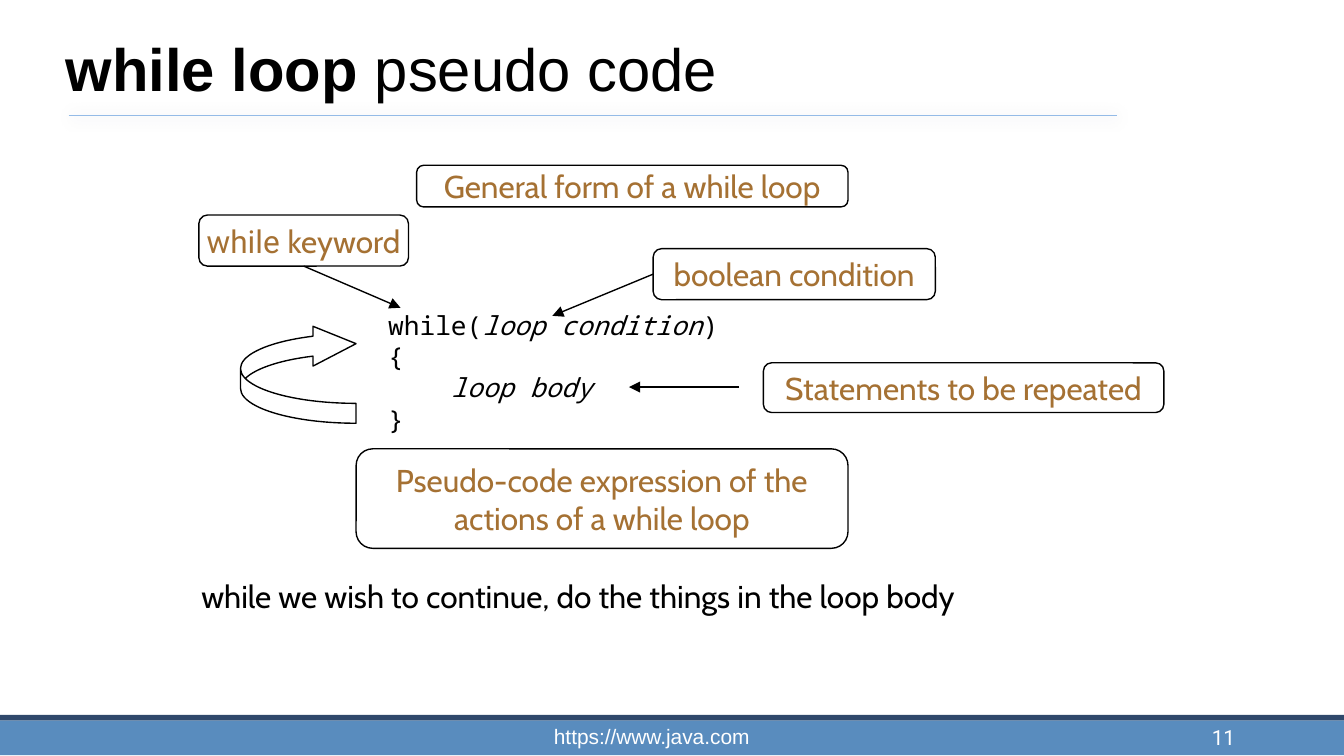
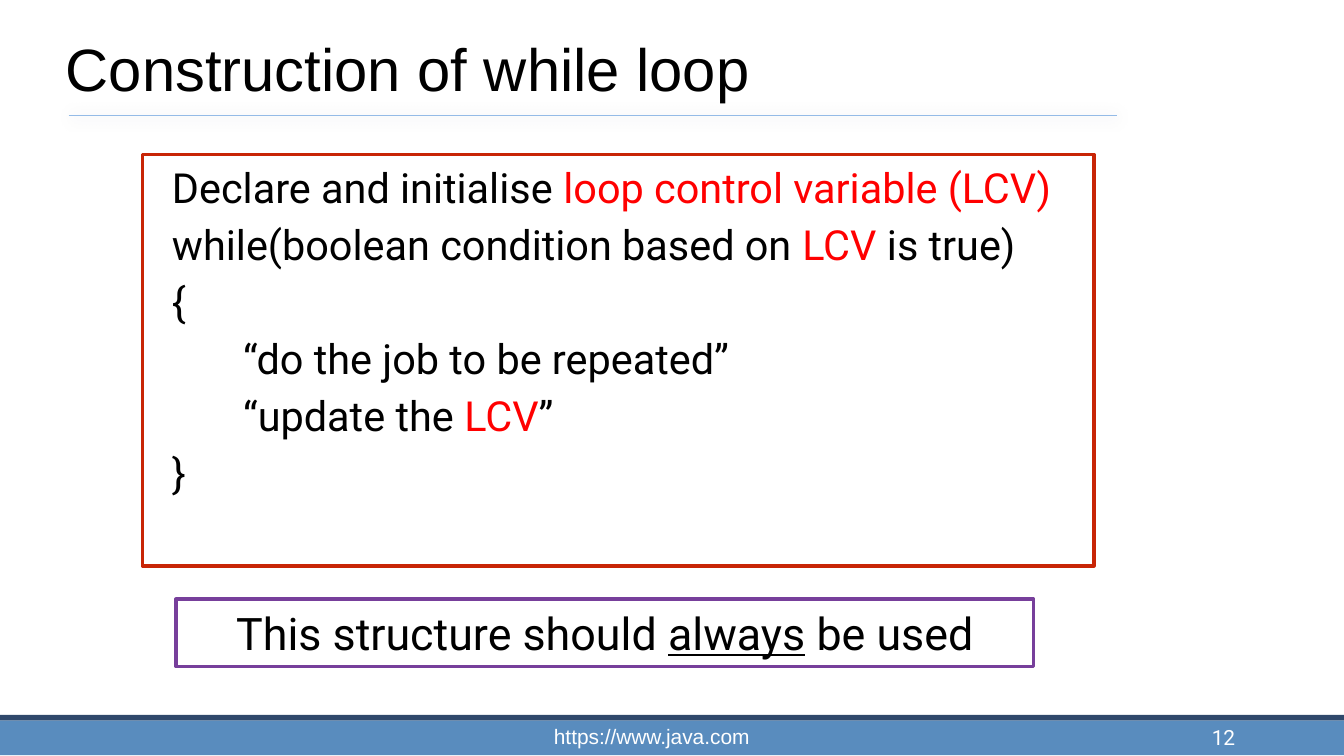
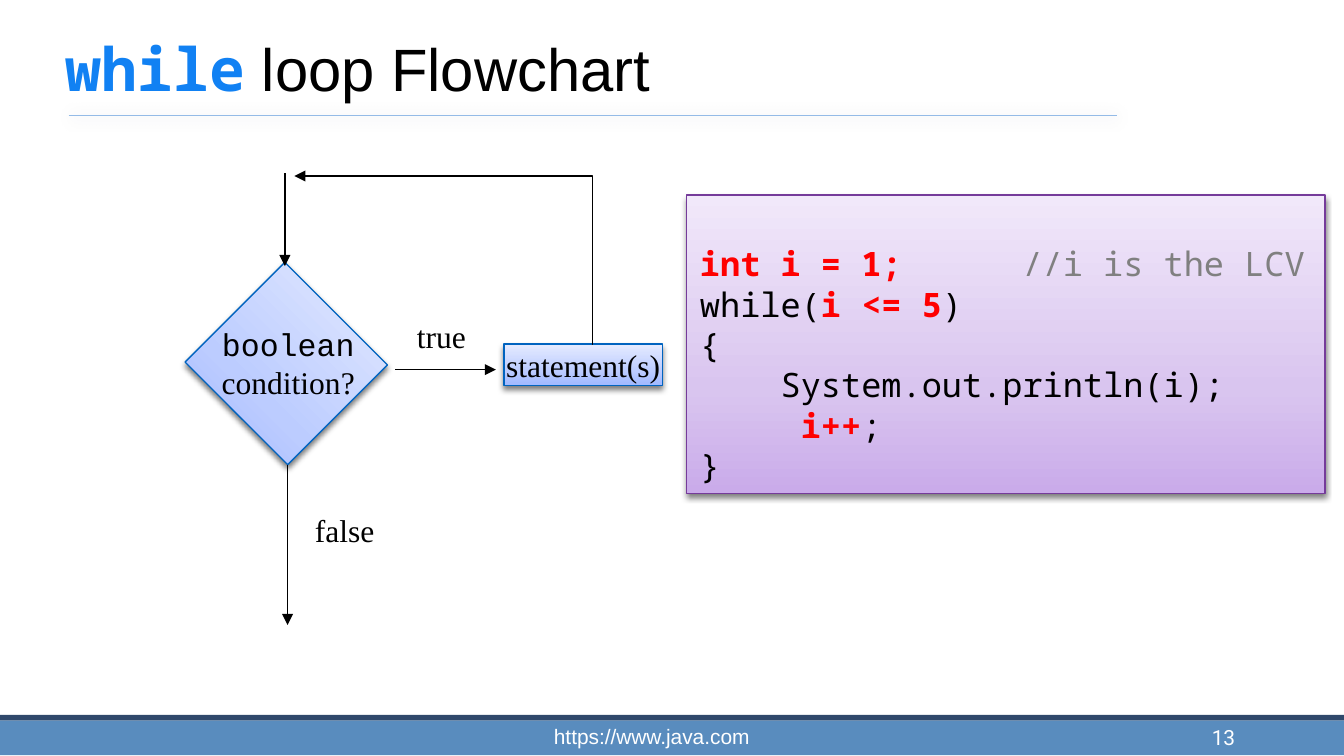
from lxml import etree
from pptx import Presentation
from pptx.dml.color import RGBColor
from pptx.enum.shapes import MSO_CONNECTOR, MSO_SHAPE
from pptx.enum.text import MSO_ANCHOR, PP_ALIGN
from pptx.oxml.ns import qn
from pptx.util import Emu, Pt

PX = 9144  # EMU in one px, 100 px to the inch
PAGE_WIDTH = 1000

BLANK_LAYOUT = 6

RECTANGLE, ROUNDED = MSO_SHAPE.RECTANGLE, MSO_SHAPE.ROUNDED_RECTANGLE
LOOP_ARROW = MSO_SHAPE.CURVED_LEFT_ARROW
STRAIGHT, ELBOW = MSO_CONNECTOR.STRAIGHT, MSO_CONNECTOR.ELBOW
LEFT, CENTER, RIGHT = PP_ALIGN.LEFT, PP_ALIGN.CENTER, PP_ALIGN.RIGHT
TOP, MIDDLE, BOTTOM = MSO_ANCHOR.TOP, MSO_ANCHOR.MIDDLE, MSO_ANCHOR.BOTTOM
SIDE_LEFT, SIDE_BOTTOM = 1, 2

COLORS = {
    "black": "000000", "white": "FFFFFF", "red": "FF0000", "gray": "808080",
    "band": "598CBE", "band edge": "2F486B", "rule": "94BBE7", "rule shadow": "003D62",
    "label": "A57133", "keyword": "1181F3",
    "code frame": "C82506", "note frame": "773F9B",
    "step line": "0063BF", "sample line": "753B9A",
}
STEP_GRADIENT = [(0, "A0B8FF"), (35, "BCCCFF"), (100, "E5EBFF")]
SAMPLE_GRADIENT = [(0, "CAABEA"), (35, "D9C5EF"), (100, "F1E8FA")]

SANS, BODY, LABEL = "Arial", "Roboto", "Cabin"
MONO, SERIF, TYPEWRITER = "Noto Sans Mono", "Times New Roman", "Courier New"
LABEL_SIZE = 16.9

# Content: a paragraph is a list of runs, a run is a text or (text, format)
RED, RED_BOLD = {"color": "red"}, {"color": "red", "bold": True}
ITALIC = {"italic": True}
FOOTER = "https://www.java.com"
FIRST_NUMBER = 11
TITLES = [
    [("while loop ", {"bold": True}), "pseudo code"],
    ["Construction of while loop"],
    [("while", {"font": MONO, "color": "keyword", "bold": True}), " loop Flowchart"],
]

LOOP_FORM = [
    ["while(", ("loop condition", ITALIC), ") {"],
    ["    ", ("loop body", ITALIC)],
    ["}"],
]
LOOP_MEANING = "while we wish to continue, do the things in the loop body"
LOOP_LABELS = {
    "condition": ((486, 185, 210, 38), ["boolean condition"]),
    "keyword": ((148, 160, 156, 38), [("while ", {"font": BODY}), "keyword"]),
    "statements": ((568, 270, 298, 37), ["Statements to be repeated"]),
    "expression": ((265, 334, 366, 74),
                   ["Pseudo-code expression of the actions of a while loop"]),
    "heading": ((310, 123, 321, 31), ["General form of a while loop"]),
}

STRUCTURE = [
    ["Declare and initialise ", ("loop control variable (LCV)", RED)],
    ["while(boolean condition based on ", ("LCV ", RED), "is true)"],
    ["{"],
    ["“do the job to be repeated”"],
    ["“update the ", ("LCV", RED), "”"],
    ["}"],
]
STRUCTURE_INDENTS = [16, 16, 16, 69, 69, 16]
STRUCTURE_NOTE = ["This structure should ", ("always", {"underline": True}), " be used"]

SAMPLE = [
    [("int i = 1;\t", RED_BOLD), ("//i is the LCV", {"color": "gray"})],
    ["while(", ("i <= 5", RED_BOLD), ")"],
    ["{"],
    ["    System.out.println(i);"],
    [("     i++", RED_BOLD), ";"],
    ["}"],
]
FLOW_TEXTS = [
    ((300, 231, 57, 39), [["true"]]),
    ((154, 237, 121, 67), [[("boolean", {"font": TYPEWRITER})], ["condition?"]]),
    ((224, 375, 65, 39), [["false"]]),
]
FLOW_ARROWS = [
    ((214, 346), (214, 465)),
    ((212, 129), (212, 198)),
    ((294, 275), (369, 275)),
]


def emu(*lengths):
    return [Emu(length * PX) for length in lengths]


def rgb(name):
    return RGBColor.from_string(COLORS[name])


def write(box, paragraphs, size=LABEL_SIZE, font=SANS, color="black", align=LEFT,
          anchor=TOP, insets=(10, 5, 10, 5), wrap=True, gap=0, indents=None, tab=None):
    """Fill a box with paragraphs; a run may override font, color and style."""
    frame = box.text_frame
    frame.word_wrap = wrap
    frame.vertical_anchor = anchor
    (frame.margin_left, frame.margin_top,
     frame.margin_right, frame.margin_bottom) = emu(*insets)
    for index, runs in enumerate(paragraphs):
        para = frame.add_paragraph() if index else frame.paragraphs[0]
        para.alignment = align
        properties = para._p.get_or_add_pPr()
        if indents:
            properties.set("marL", str(indents[index] * PX))
        if tab:
            stops = etree.SubElement(properties, qn("a:tabLst"))
            etree.SubElement(stops, qn("a:tab"), pos=str(tab * PX), algn="l")
        if index and gap:
            para.space_before = Pt(gap)
        for run in runs:
            text, style = (run, {}) if isinstance(run, str) else run
            span = para.add_run()
            span.text = text
            span.font.size = Pt(size)
            span.font.name = style.get("font", font)
            span.font.color.rgb = rgb(style.get("color", color))
            span.font.bold = style.get("bold", False)
            span.font.italic = style.get("italic", False)
            span.font.underline = style.get("underline", False)


def add_text(page, place, paragraphs, **options):
    write(page.shapes.add_textbox(*emu(*place)), paragraphs, **options)


def add_box(page, place, kind=RECTANGLE, fill=None, gradient=None, line=None, width=0.75):
    box = page.shapes.add_shape(kind, *emu(*place))
    box.shadow.inherit = False
    if gradient:
        set_gradient(box, gradient)
    elif fill:
        box.fill.solid()
        box.fill.fore_color.rgb = rgb(fill)
    else:
        box.fill.background()
    if line:
        box.line.color.rgb = rgb(line)
        box.line.width = Pt(width)
    else:
        box.line.fill.background()
    return box


def set_gradient(box, stops):
    box.fill.gradient()
    box.fill.gradient_angle = 90
    stop_list = box._element.spPr.find(qn("a:gradFill")).find(qn("a:gsLst"))
    for old_stop in list(stop_list):
        stop_list.remove(old_stop)
    for percent, color in stops:
        stop = etree.SubElement(stop_list, qn("a:gs"), pos=str(percent * 1000))
        etree.SubElement(stop, qn("a:srgbClr"), val=color)


def add_shadow(shape, color="black", opacity=50, blur=3, distance=2, angle=90):
    effects = shape._element.spPr.find(qn("a:effectLst"))
    shadow = etree.SubElement(
        effects, qn("a:outerShdw"), blurRad=str(Pt(blur)), dist=str(Pt(distance)),
        dir=str(angle * 60000), algn="ctr", rotWithShape="0")
    shade = etree.SubElement(shadow, qn("a:srgbClr"), val=COLORS[color])
    etree.SubElement(shade, qn("a:alpha"), val=str(opacity * 1000))


def add_line(page, start, end, kind=STRAIGHT, color="black", width=0.75, arrow=True):
    line = page.shapes.add_connector(kind, *emu(*start, *end))
    line.line.color.rgb = rgb(color)
    line.line.width = Pt(width)
    properties = line._element.spPr
    if arrow:
        etree.SubElement(properties.find(qn("a:ln")), qn("a:tailEnd"), type="triangle")
    etree.SubElement(properties, qn("a:effectLst"))
    return line


def add_page(deck, title, number):
    """Start a page with the shared bands, title, rule and footer."""
    page = deck.slides.add_slide(deck.slide_layouts[BLANK_LAYOUT])
    add_box(page, (0, 536, PAGE_WIDTH, 26), fill="band")
    add_box(page, (0, 532, PAGE_WIDTH, 4), fill="band edge")
    rule = add_line(page, (51, 86), (831, 86), color="rule", width=1, arrow=False)
    add_shadow(rule, "rule shadow", opacity=20, blur=8, distance=1, angle=45)
    add_text(page, (43, 0, 850, 83), [title], size=32, anchor=BOTTOM, insets=(6, 6, 6, 6))
    add_text(page, (352, 535, 266, 26), [[FOOTER]], size=11.2, color="white",
             align=CENTER, anchor=BOTTOM, insets=(8, 4, 8, 4))
    add_text(page, (717, 533, 208, 31), [[str(number)]], size=11.2, font=BODY,
             color="white", align=RIGHT, anchor=BOTTOM, insets=(6, 6, 6, 6))
    return page


def draw_pseudo_code(page):
    add_text(page, (279, 225, 281, 104), LOOP_FORM, size=14, font=MONO)
    add_text(page, (140, 424, 634, 39), [[LOOP_MEANING]], font=LABEL, wrap=False)

    # Labels and their pointers
    labels = {}
    for name, (place, runs) in LOOP_LABELS.items():
        label = add_box(page, place, kind=ROUNDED, line="black")
        label.adjustments[0] = 0.167
        write(label, [runs], font=LABEL, color="label", align=CENTER, anchor=MIDDLE,
              wrap=name == "expression")
        labels[name] = label
    pointer = add_line(page, (486, 204), (411, 235))
    pointer.begin_connect(labels["condition"], SIDE_LEFT)
    pointer = add_line(page, (226, 198), (298, 229))
    pointer.begin_connect(labels["keyword"], SIDE_BOTTOM)
    add_line(page, (550, 288), (468, 288))

    # Arrow from the end of the loop back to its start
    loop_arrow = add_box(page, (179, 241, 86, 74), kind=LOOP_ARROW, line="black")
    for index, value in enumerate((0.2, 0.4, 0.433)):
        loop_arrow.adjustments[index] = value
    frame = loop_arrow._element.spPr.find(qn("a:xfrm"))
    frame.set("flipH", "1")
    frame.set("flipV", "1")


def draw_construction(page):
    structure = add_box(page, (106, 115, 708, 306), fill="white", line="code frame", width=2)
    write(structure, STRUCTURE, size=22.2, font=BODY, insets=(6, 6, 6, 6), gap=3.8,
          indents=STRUCTURE_INDENTS)
    note = add_box(page, (131, 446, 638, 50), fill="white", line="note frame", width=2)
    write(note, [STRUCTURE_NOTE], size=24, font=BODY, align=CENTER)


def draw_flowchart(page):
    # Decision and statement
    decision = add_box(page, (159, 218, 108, 105), gradient=STEP_GRADIENT, line="step line")
    decision.rotation = 45
    add_shadow(decision)
    statement = add_box(page, (375, 256, 118, 31), gradient=STEP_GRADIENT, line="step line")
    add_shadow(statement)
    write(statement, [["statement(s)"]], font=SERIF, align=CENTER, anchor=MIDDLE, wrap=False)

    # Arrows and their texts
    for start, end in FLOW_ARROWS:
        add_line(page, start, end)
    back = add_line(page, (441, 256), (219, 131), kind=ELBOW)
    geometry = back._element.spPr.find(qn("a:prstGeom"))
    guides = geometry.find(qn("a:avLst"))
    if guides is None:
        guides = etree.SubElement(geometry, qn("a:avLst"))
    etree.SubElement(guides, qn("a:gd"), name="adj1", fmla="val 100")
    for place, paragraphs in FLOW_TEXTS:
        add_text(page, place, paragraphs, font=SERIF, align=CENTER, wrap=False)

    # Code sample
    sample = add_box(page, (511, 145, 475, 222), gradient=SAMPLE_GRADIENT, line="sample line")
    add_shadow(sample)
    write(sample, SAMPLE, size=18, font=MONO, anchor=BOTTOM, insets=(10, 5, 10, 6), tab=240)


def main():
    deck = Presentation()
    deck.slide_width = Emu(PAGE_WIDTH * PX)
    deck.slide_height = Emu(PAGE_WIDTH * PX * 9 // 16)
    drawings = [draw_pseudo_code, draw_construction, draw_flowchart]
    for number, (title, draw) in enumerate(zip(TITLES, drawings), FIRST_NUMBER):
        draw(add_page(deck, title, number))
    deck.save("out.pptx")


if __name__ == "__main__":
    main()
